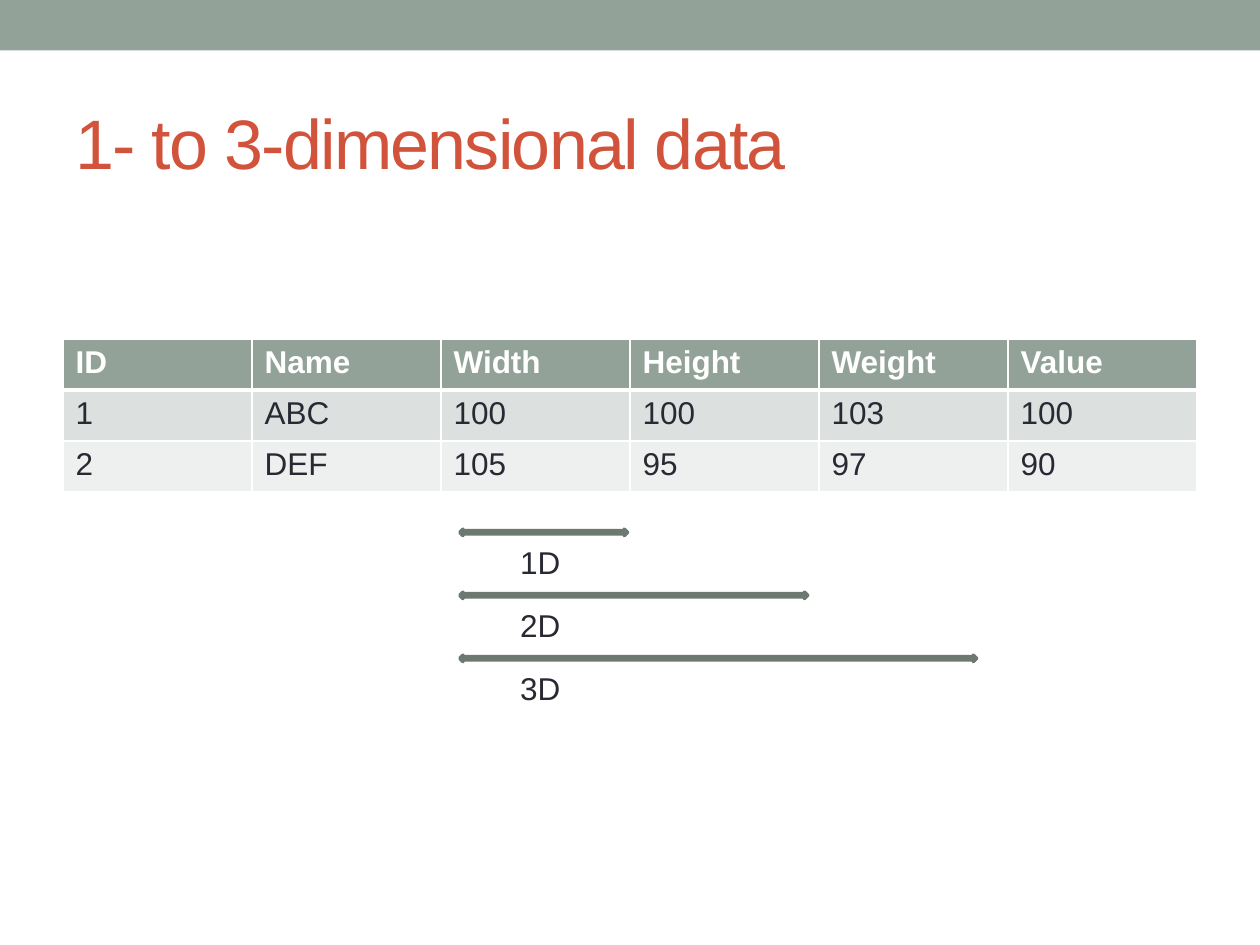
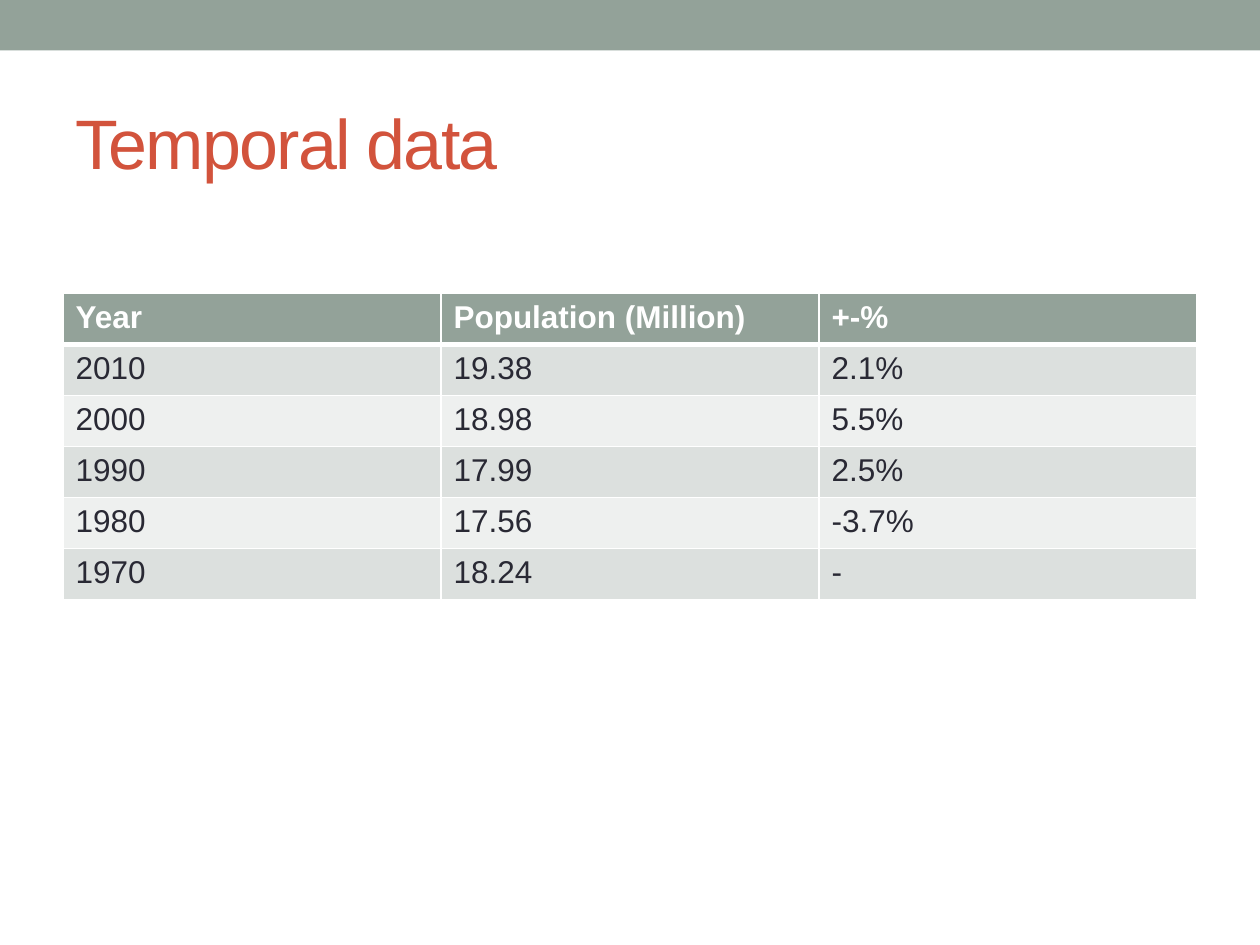
from dataclasses import dataclass

from lxml.etree import SubElement
from pptx import Presentation
from pptx.dml.color import RGBColor
from pptx.enum.shapes import MSO_SHAPE
from pptx.enum.text import MSO_ANCHOR
from pptx.oxml.ns import qn
from pptx.slide import Slide
from pptx.table import _Cell
from pptx.util import Inches, Pt

HUES = {
    "band": "93A299",
    "title": "D2533C",
    "text": "292934",
    "white": "FFFFFF",
    "odd": "DCE0DE",
    "even": "EEF0EF",
    "arrow": "6D7871",
}
FONT = "Arial"
WIDE, HIGH = Inches(10), Inches(7.5)
COL, ROW = WIDE / 20, HIGH / 15


@dataclass(frozen=True)
class Box:
    left: float
    top: float
    cols: float
    rows: float

    def place(self) -> tuple[int, int, int, int]:
        return (round(self.left * COL), round(self.top * ROW),
                round(self.cols * COL), round(self.rows * ROW))


@dataclass(frozen=True)
class Grid:
    top: float
    rows: list[list[str]]


@dataclass(frozen=True)
class Span:
    label: str
    arrow: float
    text: float


BAND = Box(0, 0, 20, 0.8)
TITLE = Box(1, 1.16, 18, 2.16)
LINE = 0.81

SIZES = Grid(5.38, [
    ["ID", "Name", "Width", "Height", "Weight", "Value"],
    ["1", "ABC", "100", "100", "103", "100"],
    ["2", "DEF", "105", "95", "97", "90"],
])
YEARS = Grid(4.66, [
    ["Year", "Population (Million)", "+-%"],
    ["2010", "19.38", "2.1%"],
    ["2000", "18.98", "5.5%"],
    ["1990", "17.99", "2.5%"],
    ["1980", "17.56", "-3.7%"],
    ["1970", "18.24", "-"],
])
SPANS = [Span("1D", 2.66, 1.16), Span("2D", 5.52, 2.42), Span("3D", 8.2, 3.58)]


def hue(name: str) -> RGBColor:
    return RGBColor.from_string(HUES[name])


def write(frame, text: str, size: float, tone: str, bold: bool = False) -> None:
    frame.text = text
    font = frame.paragraphs[0].font
    font.name, font.size, font.bold = FONT, Pt(size), bold
    font.color.rgb = hue(tone)


def label(slide: Slide, box: Box, text: str, size: float, tone: str):
    frame = slide.shapes.add_textbox(*box.place()).text_frame
    frame.word_wrap = True
    write(frame, text, size, tone)
    return frame


def start(deck, title: str) -> Slide:
    slide = deck.slides.add_slide(deck.slide_layouts[6])
    band = slide.shapes.add_shape(MSO_SHAPE.RECTANGLE, *BAND.place())
    band.shadow.inherit = False
    band.fill.solid()
    band.fill.fore_color.rgb = hue("band")
    band.line.fill.background()
    frame = label(slide, TITLE, title, 40, "title")
    frame.vertical_anchor = MSO_ANCHOR.MIDDLE
    for run in frame.paragraphs[0].runs:
        run._r.get_or_add_rPr().set("spc", "-100")
    return slide


def edge(cell: _Cell, row: int) -> None:
    props = cell._tc.get_or_add_tcPr()
    widths = {"L": 1, "R": 1, "T": 3 if row == 1 else 1, "B": 3 if row == 0 else 1}
    for side, width in widths.items():
        line = SubElement(props, qn(f"a:ln{side}"), w=str(Pt(width)))
        fill = SubElement(line, qn("a:solidFill"))
        SubElement(fill, qn("a:srgbClr"), val=HUES["white"])


def tabulate(slide: Slide, grid: Grid) -> None:
    count, width = len(grid.rows), len(grid.rows[0])
    box = Box(1, grid.top, 18, LINE * count)
    table = slide.shapes.add_table(count, width, *box.place()).table
    table.first_row = table.horz_banding = False
    for r, texts in enumerate(grid.rows):
        head = r == 0
        for c, text in enumerate(texts):
            cell = table.cell(r, c)
            edge(cell, r)
            cell.fill.solid()
            cell.fill.fore_color.rgb = hue("band" if head else "odd" if r % 2 else "even")
            write(cell.text_frame, text, 18, "white" if head else "text", head)


def measure(slide: Slide, span: Span, top: float) -> None:
    box = Box(7.3, top, span.arrow, 0.1)
    arrow = slide.shapes.add_shape(MSO_SHAPE.LEFT_RIGHT_ARROW, *box.place())
    arrow.shadow.inherit = False
    arrow.fill.background()
    arrow.line.color.rgb = hue("arrow")
    arrow.line.width = Pt(2.08)
    label(slide, Box(8.06, top + 0.12, span.text, 0.8), span.label, 18, "text")


def main() -> None:
    deck = Presentation()
    deck.slide_width, deck.slide_height = WIDE, HIGH
    slide = start(deck, "1- to 3-dimensional data")
    tabulate(slide, SIZES)
    for step, span in enumerate(SPANS):
        measure(slide, span, 8.4 + step)
    tabulate(start(deck, "Temporal data"), YEARS)
    deck.save("out.pptx")


if __name__ == "__main__":
    main()
